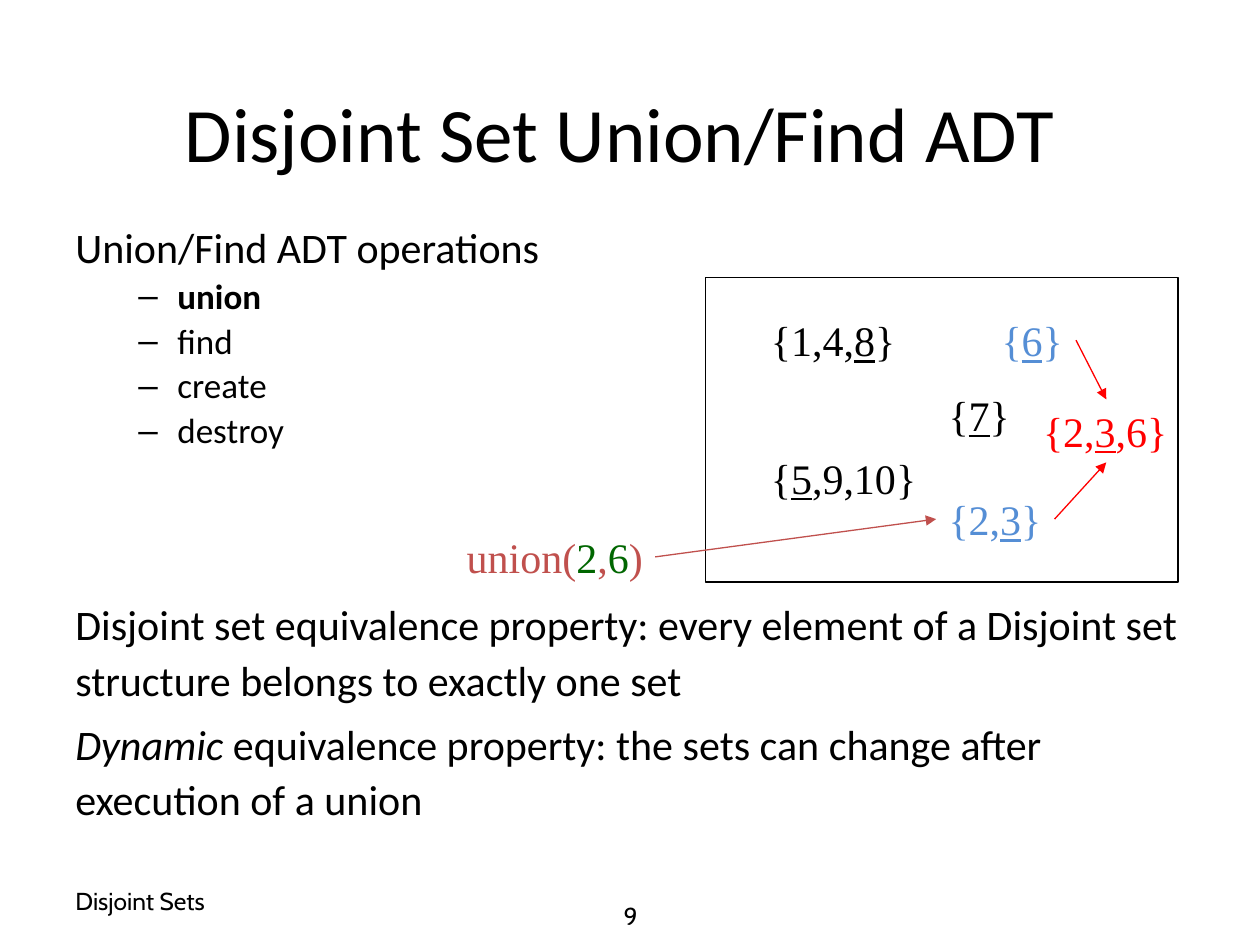
"""Build the Disjoint Set Union/Find ADT slide."""
from dataclasses import dataclass

from lxml import etree
from pptx import Presentation
from pptx.dml.color import RGBColor
from pptx.enum.shapes import MSO_CONNECTOR, MSO_SHAPE
from pptx.enum.text import MSO_ANCHOR, PP_ALIGN
from pptx.oxml.ns import qn
from pptx.util import Inches, Pt

LEFT, CENTER, RIGHT = PP_ALIGN.LEFT, PP_ALIGN.CENTER, PP_ALIGN.RIGHT
TOP, MIDDLE = MSO_ANCHOR.TOP, MSO_ANCHOR.MIDDLE
RECTANGLE, STRAIGHT = MSO_SHAPE.RECTANGLE, MSO_CONNECTOR.STRAIGHT


@dataclass(frozen=True)
class Theme:
    black: str = "000000"
    blue: str = "558ED5"
    red: str = "FF0000"
    brick: str = "C0504D"
    green: str = "006600"
    title: int = 44
    body: int = 24
    item: int = 20
    footer: int = 14
    line: float = 0.75
    sans: str = "Calibri"
    serif: str = "Times New Roman"
    small: str = "Cabin"


T = Theme()


def add_text(text, box=None, p=None, size=T.body, color=T.black, font=T.sans, bold=False,
             italic=False, underline=False, align=LEFT, anchor=TOP, wrap=True):
    if p is None:
        tf = s.shapes.add_textbox(*map(Inches, box)).text_frame
        tf.word_wrap, tf.vertical_anchor = wrap, anchor
        p = tf.paragraphs[0]
        p.alignment = align
    r = p.add_run()
    r.text = text
    r.font.name, r.font.size = font, Pt(size)
    r.font.bold, r.font.italic, r.font.underline = bold, italic, underline
    r.font.color.rgb = RGBColor.from_string(color)
    return p, tf if box else None


def add_arrow(start, end, color):
    c = s.shapes.add_connector(STRAIGHT, *map(Inches, start + end))
    c.line.color.rgb = RGBColor.from_string(color)
    c.line.width = Pt(T.line)
    etree.SubElement(c.line._get_or_add_ln(), qn("a:tailEnd"), type="triangle")
    etree.SubElement(c._element.spPr, qn("a:effectLst"))


prs = Presentation()
prs.slide_width, prs.slide_height = Inches(10), Inches(7.5)
s = prs.slides.add_slide(prs.slide_layouts[6])

add_text("Disjoint Set Union/Find ADT", (0.67, 0.42, 8.5, 1.25), size=T.title,
         align=CENTER, anchor=MIDDLE)

p, tf = add_text("Union/Find ADT operations", (0.5, 1.75, 9, 4.95))
p.line_spacing = 0.9
for operation in ("union", "find", "create", "destroy"):
    p = tf.add_paragraph()
    p.line_spacing, p.space_before = 0.9, Pt(4)
    pPr = p._p.get_or_add_pPr()
    pPr.set("marL", str(Inches(0.81)))
    pPr.set("indent", str(Inches(-0.31)))
    etree.SubElement(pPr, qn("a:buFont"), typeface="Arial")
    etree.SubElement(pPr, qn("a:buChar"), char="–")
    add_text(operation, p=p, size=T.item, bold=operation == "union")

properties = (
    (81.5, "", "Disjoint set equivalence property: every element of a Disjoint set "
               "structure belongs to exactly one set"),
    (4.8, "Dynamic", " equivalence property: the sets can change after execution of a union"),
)
for gap, lead, rest in properties:
    p = tf.add_paragraph()
    p.line_spacing, p.space_before = 1.1, Pt(gap)
    if lead:
        add_text(lead, p=p, italic=True)
    add_text(rest, p=p)

add_text("Disjoint Sets", (0.5, 6.95, 2.33, 0.4), size=T.footer, font=T.small, anchor=MIDDLE)
add_text("9", (3.42, 7.07, 3.17, 0.4), size=T.footer, font=T.small, align=CENTER, anchor=MIDDLE)

sp = s.shapes.add_shape(RECTANGLE, *map(Inches, (5.6, 2.2, 3.75, 2.42)))
sp.shadow.inherit = False
sp.fill.background()
sp.line.color.rgb = RGBColor.from_string(T.black)
sp.line.width = Pt(T.line)

sets = (
    (6.02, 2.45, 1.19, T.black, "{1,4,", "8", "}"),
    (7.43, 3.04, 0.69, T.black, "{", "7", "}"),
    (7.85, 2.45, 0.69, T.blue, "{", "6", "}"),
    (6.02, 3.54, 1.35, T.black, "{", "5", ",9,10}"),
    (7.43, 3.87, 0.94, T.blue, "{2,", "3", "}"),
    (8.18, 3.17, 1.19, T.red, "{2,", "3", ",6}"),
)
for x, y, w, color, before, name, after in sets:
    p, tf = add_text(before, (x, y, w, 0.5), color=color, font=T.serif, wrap=False)
    add_text(name, p=p, color=color, font=T.serif, underline=True)
    add_text(after, p=p, color=color, font=T.serif)

p, tf = add_text("union(", (3.6, 4.17, 1.6, 0.5), color=T.brick, font=T.serif,
                 align=RIGHT, wrap=False)
for text, color in (("2", T.green), (",", T.brick), ("6", T.green), (")", T.brick)):
    add_text(text, p=p, color=color, font=T.serif)

add_arrow((5.2, 4.42), (7.43, 4.12), T.brick)
add_arrow((8.54, 2.7), (8.78, 3.17), T.red)
add_arrow((8.37, 4.12), (8.78, 3.67), T.red)

prs.save("out.pptx")
